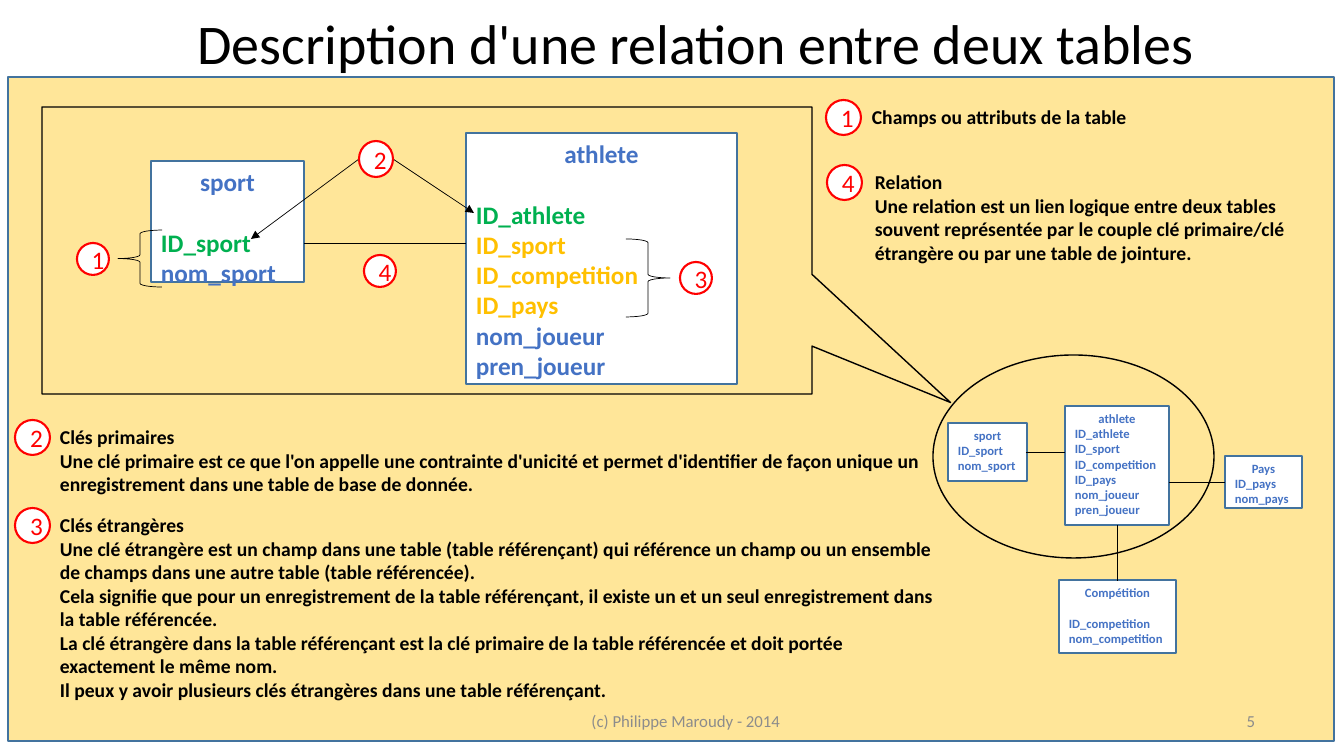
"""Build the slide describing a relation between two database tables."""
from pptx import Presentation
from pptx.dml.color import RGBColor
from pptx.enum.shapes import MSO_CONNECTOR, MSO_SHAPE
from pptx.enum.text import MSO_ANCHOR, PP_ALIGN
from pptx.oxml.ns import qn
from pptx.util import Emu, Pt
from lxml import etree

RECT, OVAL, BADGE = MSO_SHAPE.RECTANGLE, MSO_SHAPE.OVAL, MSO_SHAPE.FLOWCHART_CONNECTOR
CALLOUT, BRACE = MSO_SHAPE.RECTANGULAR_CALLOUT, MSO_SHAPE.RIGHT_BRACE
STRAIGHT = MSO_CONNECTOR.STRAIGHT
LEFT, CENTER, RIGHT = PP_ALIGN.LEFT, PP_ALIGN.CENTER, PP_ALIGN.RIGHT
TOP, MIDDLE = MSO_ANCHOR.TOP, MSO_ANCHOR.MIDDLE

EMU_PER_PX = 914400 / 100.8
FONT = "Calibri"
BLACK, WHITE, RED, GREY = "000000", "FFFFFF", "FF0000", "8C8C8C"
SAND, BORDER, BLUE, GREEN, GOLD = "FFE699", "43739E", "4472C4", "00B050", "FFC000"

ATHLETE = ["ID_athlete", "ID_sport", "ID_competition", "ID_pays", "nom_joueur", "pren_joueur"]
SPORT = ["ID_sport", "nom_sport"]

# box, size, gap under the name, name, fields, field colours
TABLES = [
    ((466, 133, 271, 251), 18, 22, "athlete", ATHLETE, [GREEN, GOLD, GOLD, GOLD, BLUE, BLUE]),
    ((151, 161, 153, 121), 18, 22, "sport", SPORT, [GREEN, BLUE]),
    ((1065, 406, 104, 119), 9, 0, "athlete", ATHLETE, [BLUE] * 6),
    ((1225, 456, 77, 52), 9, 0, "Pays", ["ID_pays", "nom_pays"], [BLUE] * 2),
    ((1059, 580, 117, 73), 9, 11, "Compétition", ["ID_competition", "nom_competition"], [BLUE] * 2),
    ((948, 423, 79, 58), 9, 0, "sport", SPORT, [BLUE] * 2),
]
OUTLINES = [
    (CALLOUT, (42, 107, 770, 287), 1, 0),
    (OVAL, (933, 355, 281, 203), 1, 0),
    (BRACE, (626, 239, 44, 78), 0.5, 0),
    (BRACE, (118, 230, 44, 57), 0.5, 180),
]
LINKS = [
    ((304, 243), (466, 243), False),
    ((1169, 482), (1225, 482), False),
    ((1026, 452), (1065, 452), False),
    ((1117, 525), (1117, 581), False),
    ((359, 159), (251, 239), True),
    ((393, 159), (474, 213), True),
]
BADGES = [
    ("3", (680, 262, 32, 32)), ("2", (359, 141, 34, 36)),
    ("1", (77, 243, 32, 32)), ("4", (364, 255, 32, 32)),
    ("1", (826, 100, 35, 35)), ("4", (827, 165, 35, 35)),
    ("2", (15, 420, 35, 35)), ("3", (15, 508, 35, 35)),
]
LABELS = [
    ((175, 4, 1041, 78), 40, BLACK, CENTER, TOP, "Description d'une relation entre deux tables"),
    ((459, 701, 454, 40), 12, GREY, CENTER, MIDDLE, "(c) Philippe Maroudy - 2014"),
    ((963, 701, 302, 40), 12, GREY, RIGHT, MIDDLE, "5"),
]
NOTES = [
    ((862, 100, 284, 34), ["Champs ou attributs de la table"]),
    ((865, 165, 432, 99), [
        "Relation",
        "Une relation est un lien logique entre deux tables souvent représentée par le couple "
        "clé primaire/clé étrangère ou par une table de jointure."]),
    ((50, 420, 889, 82), [
        "Clés primaires",
        "Une clé primaire est ce que l'on appelle une contrainte d'unicité et permet d'identifier "
        "de façon unique un enregistrement dans une table de base de donnée."]),
    ((50, 508, 901, 201), [
        "Clés étrangères",
        "Une clé étrangère est un champ dans une table (table référençant) qui référence un champ "
        "ou un ensemble de champs dans une autre table (table référencée).",
        "Cela signifie que pour un enregistrement de la table référençant, il existe un et un seul "
        "enregistrement dans la table référencée.",
        "La clé étrangère dans la table référençant est la clé primaire de la table référencée et "
        "doit portée exactement le même nom.",
        "Il peux y avoir plusieurs clés étrangères dans une table référençant."]),
]


def px(*values):
    return [Emu(round(v * EMU_PER_PX)) for v in values]


def rgb(color):
    return RGBColor.from_string(color)


def add_shape(kind, box, line, width, fill=None):
    sp = s.shapes.add_shape(kind, *px(*box))
    sp.shadow.inherit = False
    if fill:
        sp.fill.solid()
        sp.fill.fore_color.rgb = rgb(fill)
    else:
        sp.fill.background()
    sp.line.color.rgb = rgb(line)
    sp.line.width = Pt(width)
    return sp


def write(sp, lines, size, bold=False, anchor=TOP, gap=0):
    """Write (text, colour, alignment) lines, with a gap after the first."""
    tf = sp.text_frame
    tf.word_wrap = True
    tf.vertical_anchor = anchor
    for i, (text, color, align) in enumerate(lines):
        p = tf.add_paragraph() if i else tf.paragraphs[0]
        p.alignment = align
        if gap and i == 0:
            p.space_after = Pt(gap)
        r = p.add_run()
        r.text = text
        r.font.name = FONT
        r.font.size = Pt(size)
        r.font.bold = bold
        r.font.color.rgb = rgb(color)


def add_link(start, end, arrow):
    cx = s.shapes.add_connector(STRAIGHT, *px(*start, *end))
    cx.line.color.rgb = rgb(BLACK)
    cx.line.width = Pt(0.5)
    if arrow:
        etree.SubElement(cx.line._get_or_add_ln(), qn("a:tailEnd"), type="triangle")
    etree.SubElement(cx._element.spPr, qn("a:effectLst"))


prs = Presentation()
prs.slide_width, prs.slide_height = px(1344, 756)
s = prs.slides.add_slide(prs.slide_layouts[6])

add_shape(RECT, (8, 77, 1326, 664), BORDER, 1, SAND)
for box, size, color, align, anchor, text in LABELS:
    write(s.shapes.add_textbox(*px(*box)), [(text, color, align)], size, anchor=anchor)
for box, size, gap, name, fields, colors in TABLES:
    rows = [(name, BLUE, CENTER)] + [(f, c, LEFT) for f, c in zip(fields, colors)]
    write(add_shape(RECT, box, BORDER, 1, WHITE), rows, size, bold=True, gap=gap)
for kind, box, width, rotation in OUTLINES:
    sp = add_shape(kind, box, BLACK, width)
    sp.rotation = rotation
    if kind == CALLOUT:
        sp.adjustments[0], sp.adjustments[1] = 0.68, 0.53
for link in LINKS:
    add_link(*link)
for number, box in BADGES:
    write(add_shape(BADGE, box, RED, 1.5, WHITE), [(number, RED, CENTER)], 18, anchor=MIDDLE)
for box, paragraphs in NOTES:
    write(s.shapes.add_textbox(*px(*box)), [(t, BLACK, LEFT) for t in paragraphs], 14, bold=True)

prs.save("out.pptx")
